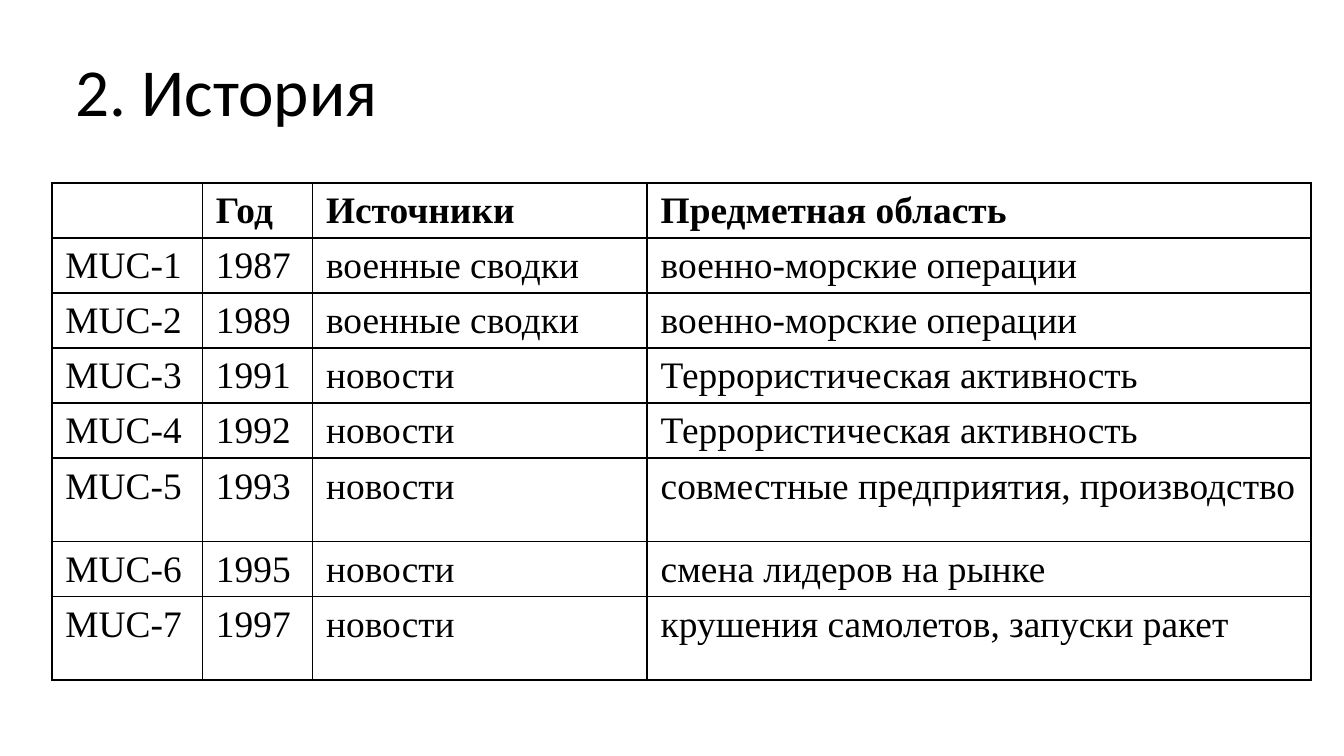
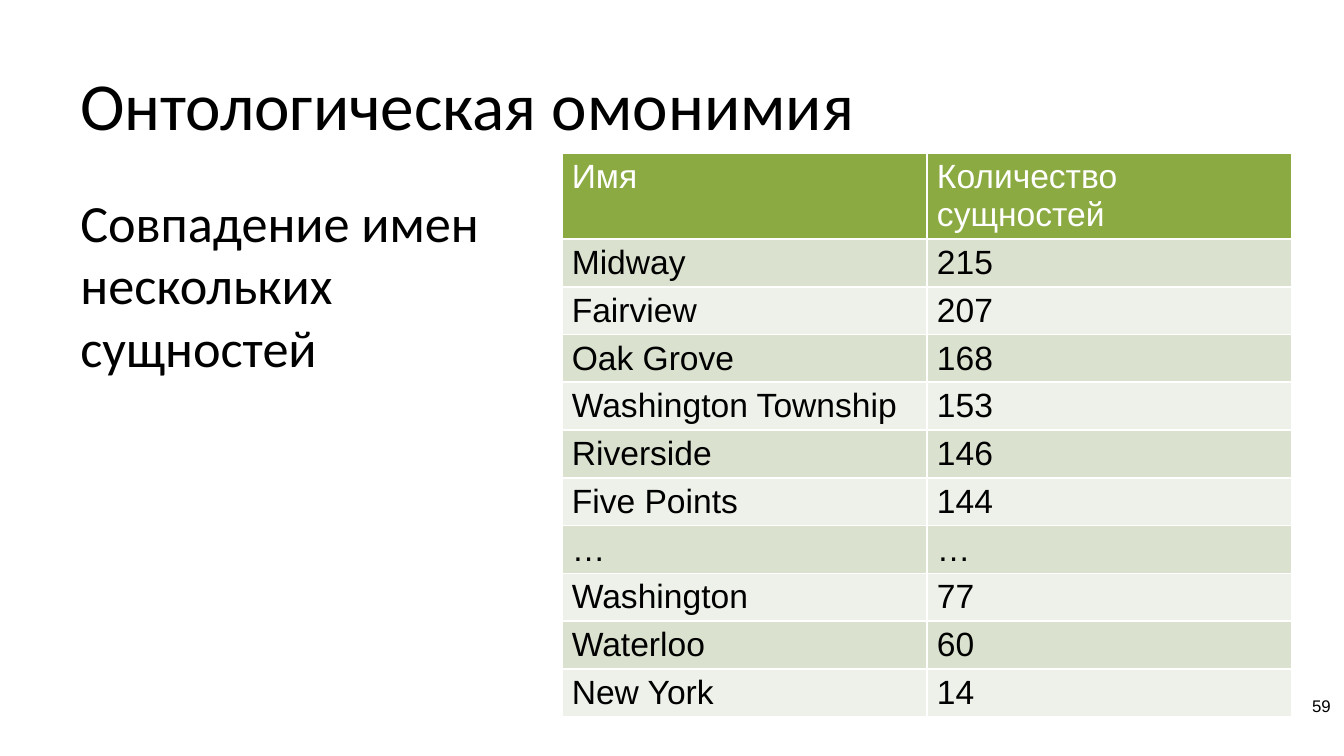
"""Build two slides on named entities: the MUC history and ontological homonymy."""
from dataclasses import dataclass
from typing import Optional

from lxml.etree import SubElement
from pptx import Presentation
from pptx.dml.color import RGBColor
from pptx.enum.text import MSO_ANCHOR as Anchor, PP_ALIGN as Align
from pptx.oxml.ns import qn
from pptx.slide import Slide
from pptx.table import _Cell as Cell
from pptx.text.text import _Paragraph as Paragraph
from pptx.util import Inches, Length, Pt

WIDTH = Inches(10)
HEIGHT = Length(WIDTH * 9 // 16)
COLORS = {
    "ink": "000000",
    "paper": "FFFFFF",
    "header": "8BAB42",
    "odd_row": "DAE2CF",
    "even_row": "EEF1E9",
}


@dataclass(frozen=True)
class Box:
    """A rectangle in hundredths of the slide's width and height."""
    left: float
    top: float
    width: float
    height: float


@dataclass(frozen=True)
class Type:
    """A way of setting text."""
    font: str
    size: float
    color: str = "ink"
    bold: bool = False


@dataclass(frozen=True)
class Block:
    """A text block with its place and setting."""
    text: str
    box: Box
    type: Type
    anchor: Anchor = Anchor.TOP
    align: Align = Align.LEFT
    pad_x: float = 0.1
    pad_y: float = 0.1


@dataclass(frozen=True)
class Grid:
    """A table with its place, measures, colours and cell padding in points."""
    left: float
    top: float
    columns: list[float]
    rows: list[float]
    cells: list[tuple[str, ...]]
    header: Type
    body: Type
    border: str
    pad_x: float
    pad_top: float
    pad_bottom: float
    header_pad_bottom: float
    header_fill: Optional[str] = None
    row_fills: tuple[Optional[str], ...] = (None,)


TITLE = Type("Calibri", 36)
BODY = Type("Calibri", 28)
PAGE_NUMBER = Type("Arial", 9)

MUC = Grid(
    3.87, 24.18, [11.2, 8.2, 24.9, 49.4],
    [11.02 if row in (5, 7) else 6.58 for row in range(8)],
    [
        ("", "Год", "Источники", "Предметная область"),
        ("MUC-1", "1987", "военные сводки", "военно-морские операции"),
        ("MUC-2", "1989", "военные сводки", "военно-морские операции"),
        ("MUC-3", "1991", "новости", "Террористическая активность"),
        ("MUC-4", "1992", "новости", "Террористическая активность"),
        ("MUC-5", "1993", "новости", "совместные предприятия, производство"),
        ("MUC-6", "1995", "новости", "смена лидеров на рынке"),
        ("MUC-7", "1997", "новости", "крушения самолетов, запуски ракет"),
    ],
    Type("Times New Roman", 20, bold=True), Type("Times New Roman", 20),
    "ink", 7.2, 4, 1.5, 1.5,
)

NAMES = Grid(
    41.8, 20.27, [27.17] * 2, [4.44] + [5.33] * 10,
    [
        ("Имя", "Количество сущностей"),
        ("Midway", "215"),
        ("Fairview", "207"),
        ("Oak Grove", "168"),
        ("Washington Township", "153"),
        ("Riverside", "146"),
        ("Five Points", "144"),
        ("…", "…"),
        ("Washington", "77"),
        ("Waterloo", "60"),
        ("New York", "14"),
    ],
    Type("Arial", 18, "paper"), Type("Arial", 18),
    "paper", 5.4, 2.7, 1.3, 0, "header", ("odd_row", "even_row"),
)


def across(share: float) -> Length:
    """Turn hundredths of the slide's width into a length."""
    return Length(round(WIDTH * share / 100))


def down(share: float) -> Length:
    """Turn hundredths of the slide's height into a length."""
    return Length(round(HEIGHT * share / 100))


def rgb(color: str) -> RGBColor:
    """Look up a named colour."""
    return RGBColor.from_string(COLORS[color])


def set_type(paragraph: Paragraph, style: Type) -> None:
    """Apply a text setting to a paragraph."""
    font = paragraph.font
    font.name, font.size, font.bold = style.font, Pt(style.size), style.bold
    font.color.rgb = rgb(style.color)


def draw_block(slide: Slide, block: Block) -> None:
    """Draw a text block."""
    box = block.box
    frame = slide.shapes.add_textbox(
        across(box.left), down(box.top), across(box.width), down(box.height)
    ).text_frame
    frame.word_wrap = True
    frame.vertical_anchor = block.anchor
    frame.margin_left = frame.margin_right = Inches(block.pad_x)
    frame.margin_top = frame.margin_bottom = Inches(block.pad_y)
    paragraph = frame.paragraphs[0]
    paragraph.text, paragraph.alignment = block.text, block.align
    set_type(paragraph, block.type)


def draw_title(slide: Slide, text: str, left: float, top: float) -> None:
    """Draw a slide title."""
    draw_block(slide, Block(text, Box(left, top, 90, 16.71), TITLE, Anchor.BOTTOM))


def set_borders(cell: Cell, color: str) -> None:
    """Rule all four sides of a cell."""
    properties = cell._tc.get_or_add_tcPr()
    for index, side in enumerate("LRTB"):
        line = SubElement(properties, qn(f"a:ln{side}"), w=str(Pt(1)))
        fill = SubElement(line, qn("a:solidFill"))
        SubElement(fill, qn("a:srgbClr"), val=COLORS[color])
        properties.insert(index, line)


def fill_cell(cell: Cell, text: str, grid: Grid, row: int) -> None:
    """Write and colour one cell of a table."""
    fill = grid.row_fills[(row - 1) % len(grid.row_fills)] if row else grid.header_fill
    if fill:
        cell.fill.solid()
        cell.fill.fore_color.rgb = rgb(fill)
    else:
        cell.fill.background()
    cell.margin_left = cell.margin_right = Pt(grid.pad_x)
    cell.margin_top = Pt(grid.pad_top)
    cell.margin_bottom = Pt(grid.pad_bottom if row else grid.header_pad_bottom)
    cell.text = text
    set_type(cell.text_frame.paragraphs[0], grid.body if row else grid.header)
    set_borders(cell, grid.border)


def draw_grid(slide: Slide, grid: Grid) -> None:
    """Draw a table."""
    table = slide.shapes.add_table(
        len(grid.rows), len(grid.columns), across(grid.left), down(grid.top),
        across(sum(grid.columns)), down(sum(grid.rows)),
    ).table
    table.first_row = table.horz_banding = False
    for column, width in zip(table.columns, grid.columns):
        column.width = across(width)
    for row, height in zip(table.rows, grid.rows):
        row.height = down(height)
    for row, texts in enumerate(grid.cells):
        for column, text in enumerate(texts):
            fill_cell(table.cell(row, column), text, grid, row)


def main() -> None:
    """Build and save the deck."""
    deck = Presentation()
    deck.slide_width, deck.slide_height = WIDTH, HEIGHT
    blank = deck.slide_layouts[6]

    history = deck.slides.add_slide(blank)
    draw_title(history, "2. История", 4.65, 2.31)
    draw_grid(history, MUC)

    homonymy = deck.slides.add_slide(blank)
    draw_title(homonymy, "Онтологическая омонимия", 5, 4.05)
    draw_block(homonymy, Block(
        "Совпадение имен нескольких сущностей", Box(5, 23.34, 37.8, 72.36), BODY))
    draw_block(homonymy, Block(
        "59", Box(76.7, 91.1, 23.3, 6.93), PAGE_NUMBER, align=Align.RIGHT, pad_y=0.05))
    draw_grid(homonymy, NAMES)

    deck.save("out.pptx")


if __name__ == "__main__":
    main()
